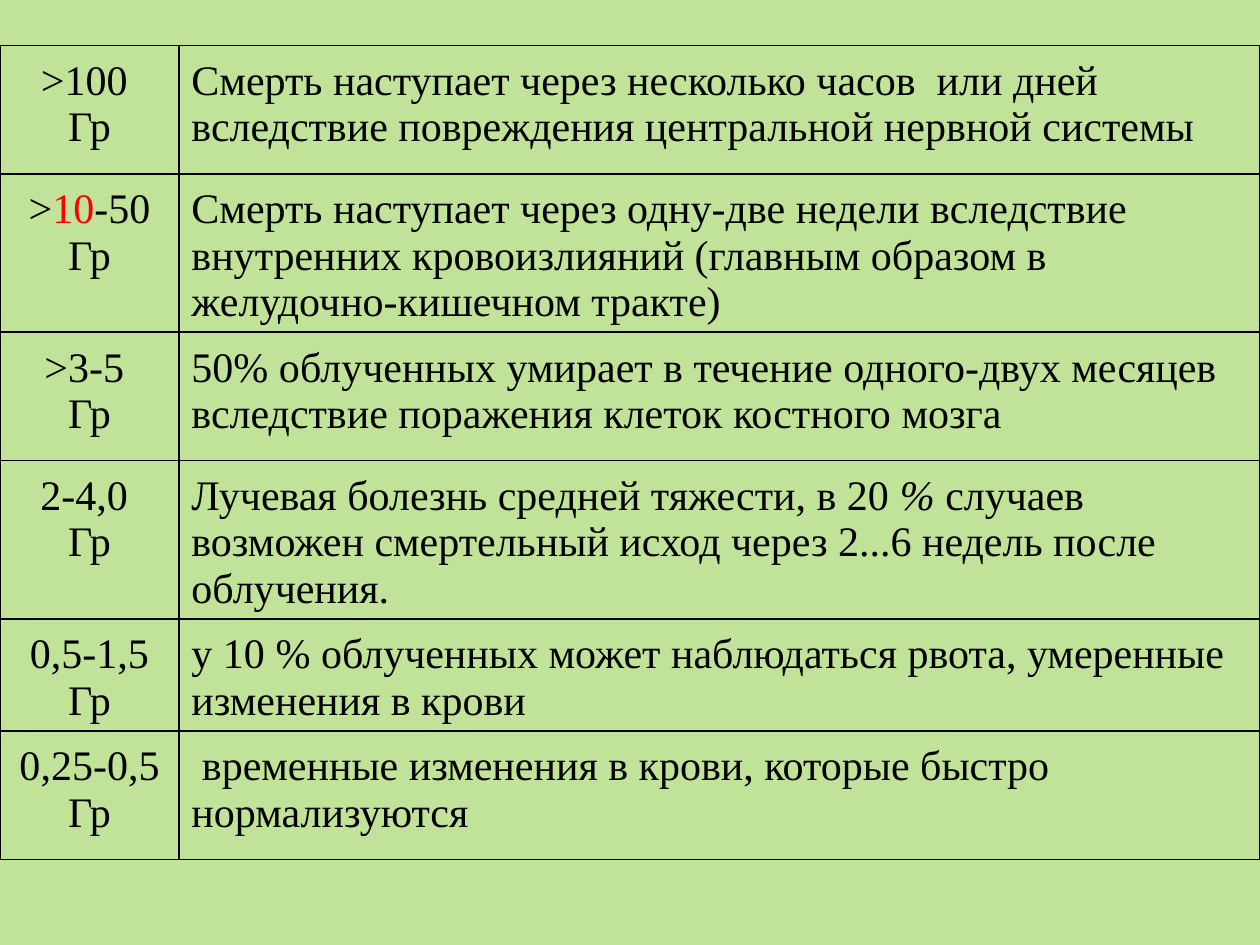
from dataclasses import dataclass

from lxml.etree import SubElement
from pptx import Presentation
from pptx.dml.color import RGBColor
from pptx.enum.text import MSO_ANCHOR, PP_ALIGN as Align
from pptx.oxml.ns import qn
from pptx.util import Inches, Pt


@dataclass(frozen=True)
class Theme:
    background: RGBColor = RGBColor(0xC0, 0xE3, 0x99)
    ink: RGBColor = RGBColor(0, 0, 0)
    accent: RGBColor = RGBColor(0xFF, 0, 0)
    font: str = "Times New Roman"
    size: Pt = Pt(24)
    border: Pt = Pt(1)


THEME = Theme()


@dataclass(frozen=True)
class Span:
    text: str
    color: RGBColor = THEME.ink
    italic: bool = False


Lines = list[list[Span]]


@dataclass(frozen=True)
class DoseEffect:
    height: float
    dose: Lines
    effect: list[Span]


def dose_lines(*texts: str) -> Lines:
    return [[Span(text)] for text in texts]


COLUMN_WIDTHS = (1.42, 8.58)
DOSE_EFFECTS = [
    DoseEffect(1.02, dose_lines(">100 ", "Гр"), [
        Span("Смерть наступает через несколько часов  или дней "
             "вследствие повреждения центральной нервной системы")]),
    DoseEffect(1.25, [[Span(">"), Span("10", THEME.accent), Span("-50 Гр")]], [
        Span("Смерть наступает через одну-две недели вследствие внутренних "
             "кровоизлияний (главным образом в желудочно-кишечном тракте)")]),
    DoseEffect(1.02, dose_lines(">3-5 ", "Гр"), [
        Span("50% облученных умирает в течение одного-двух месяцев "
             "вследствие поражения клеток костного мозга")]),
    DoseEffect(1.25, dose_lines("2-4,0 ", "Гр"), [
        Span("Лучевая болезнь средней тяжести, в 20 "),
        Span("%", italic=True),
        Span(" случаев возможен смертельный исход через 2...6 недель "
             "после облучения.")]),
    DoseEffect(0.89, dose_lines("0,5-1,5 Гр"), [
        Span("у 10 % облученных может наблюдаться рвота, "
             "умеренные изменения в крови")]),
    DoseEffect(1.02, dose_lines("0,25-0,5 Гр"), [
        Span(" временные изменения в крови, которые быстро нормализуются")]),
]


def draw_borders(cell) -> None:
    properties = cell._tc.get_or_add_tcPr()
    for position, side in enumerate(("lnL", "lnR", "lnT", "lnB")):
        line = SubElement(properties, qn(f"a:{side}"), w=str(int(THEME.border)))
        fill = SubElement(line, qn("a:solidFill"))
        SubElement(fill, qn("a:srgbClr"), val=str(THEME.ink))
        properties.insert(position, line)  # borders precede the fill


def fill_cell(cell, lines: Lines, alignment: Align) -> None:
    cell.fill.background()
    cell.vertical_anchor = MSO_ANCHOR.TOP
    cell.margin_left = cell.margin_right = cell.margin_top = Inches(0.1)
    cell.margin_bottom = Inches(0.05)
    draw_borders(cell)
    frame = cell.text_frame
    for index, spans in enumerate(lines):
        paragraph = frame.add_paragraph() if index else frame.paragraphs[0]
        paragraph.alignment = alignment
        for span in spans:
            run = paragraph.add_run()
            run.text = span.text
            run.font.name = THEME.font
            run.font.size = THEME.size
            run.font.italic = span.italic
            run.font.color.rgb = span.color


def main() -> None:
    deck = Presentation()
    deck.slide_width, deck.slide_height = Inches(10), Inches(7.5)
    slide = deck.slides.add_slide(deck.slide_layouts[6])

    # Background
    slide.background.fill.solid()
    slide.background.fill.fore_color.rgb = THEME.background

    # Radiation doses and their effects
    total_height = sum(entry.height for entry in DOSE_EFFECTS)
    table = slide.shapes.add_table(
        len(DOSE_EFFECTS), len(COLUMN_WIDTHS), Inches(0), Inches(0.36),
        Inches(sum(COLUMN_WIDTHS)), Inches(total_height)).table
    table.first_row = table.horz_banding = False
    for column, width in zip(table.columns, COLUMN_WIDTHS):
        column.width = Inches(width)
    for row, entry in zip(table.rows, DOSE_EFFECTS):
        row.height = Inches(entry.height)
        dose_cell, effect_cell = row.cells
        fill_cell(dose_cell, entry.dose, Align.CENTER)
        fill_cell(effect_cell, [entry.effect], Align.LEFT)

    deck.save("out.pptx")


if __name__ == "__main__":
    main()
